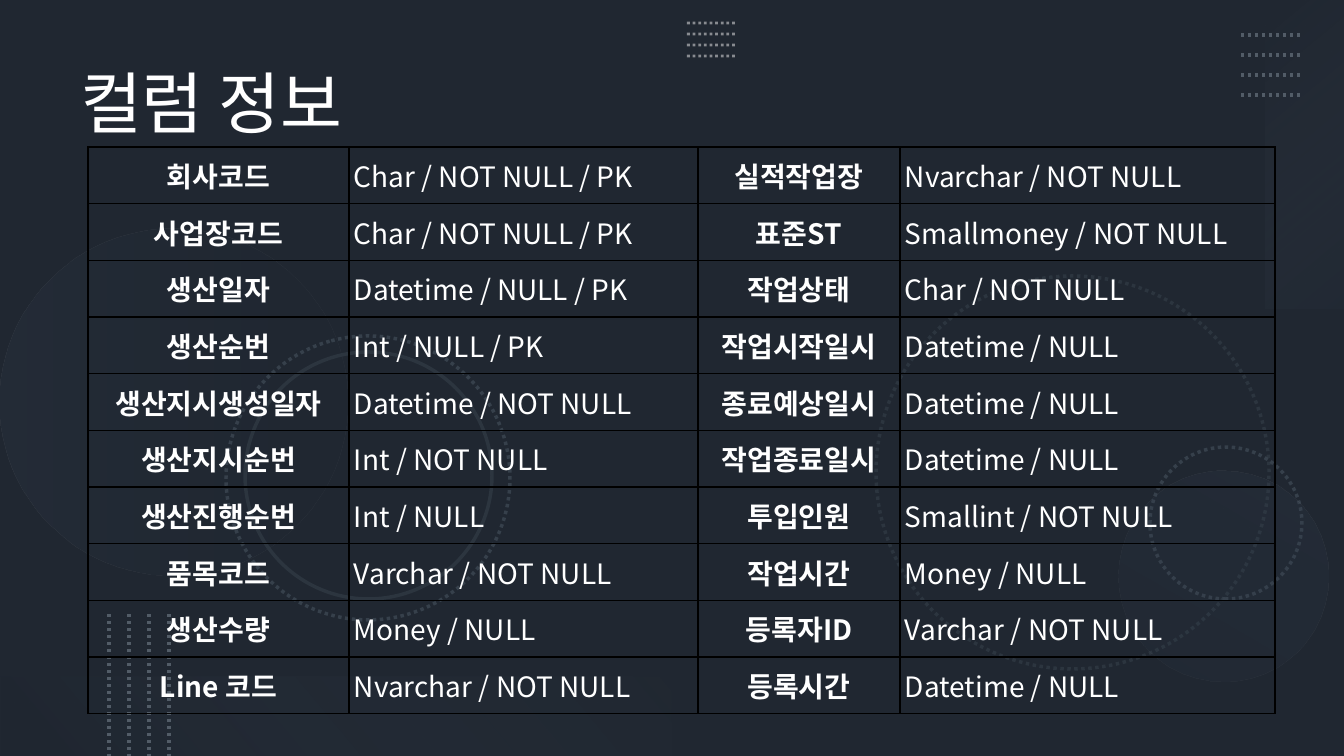
from pptx import Presentation
from pptx.dml.color import RGBColor
from pptx.enum.dml import MSO_LINE
from pptx.enum.shapes import MSO_CONNECTOR, MSO_SHAPE
from pptx.enum.text import MSO_ANCHOR, PP_ALIGN
from pptx.oxml.ns import qn
from pptx.util import Pt
from lxml.etree import SubElement

SCALE = 914400 / 100.8
FONT = "Noto Sans CJK KR"
COLORS = {
    "slate": "44546A", "black": "000000", "white": "FFFFFF",
    "faint": "2C353F", "ring": "36404B", "dots": "525C67", "light": "F1F0F0",
    "navy": "222A35", "steel": "333F50", "mist": "ADB9CA", "haze": "8497B0",
}


def px(n):
    return round(n * SCALE)


def rgb(name):
    return RGBColor.from_string(COLORS[name])


def set_alpha(element, *percents):
    for clr, percent in zip(element.iter(qn("a:srgbClr")), percents):
        SubElement(clr, qn("a:alpha")).set("val", str(percent * 1000))


def set_attrs(obj, values):
    for name, value in values.items():
        setattr(obj, name, value)


class Deck:
    def __init__(self, width, height):
        self.prs = Presentation()
        set_attrs(self.prs, {"slide_width": px(width), "slide_height": px(height)})
        self.s = self.prs.slides.add_slide(self.prs.slide_layouts[6])

    def shape(self, kind, x, y, w, h, rot=0):
        sp = self.s.shapes.add_shape(kind, px(x), px(y), px(w), px(h))
        sp.rotation = rot
        sp.shadow.inherit = False
        sp.fill.background()
        sp.line.fill.background()
        return sp

    def solid(self, color, alpha, *box):
        sp = self.shape(MSO_SHAPE.RECTANGLE, *box)
        sp.fill.solid()
        sp.fill.fore_color.rgb = rgb(color)
        set_alpha(sp._element.spPr, alpha)

    def gradient(self, kind, box, rot, angle, stops):
        sp = self.shape(kind, *box, rot)
        sp.fill.gradient()
        sp.fill.gradient_angle = 360 - angle
        for stop, (position, color, _) in zip(sp.fill.gradient_stops, stops):
            stop.position = position
            stop.color.rgb = rgb(color)
        set_alpha(sp._element.spPr, *(alpha for _, _, alpha in stops))

    def stroke(self, line, color, width=2.5, dash=MSO_LINE.ROUND_DOT):
        line.color.rgb = rgb(color)
        set_attrs(line, {"width": Pt(width), "dash_style": dash})

    def ring(self, x, y, size, rot, color, dash=MSO_LINE.ROUND_DOT):
        sp = self.shape(MSO_SHAPE.OVAL, x, y, size, size, rot)
        self.stroke(sp.line, color, dash=dash)

    def line(self, x1, y1, x2, y2, color, width=2.5, alpha=100):
        c = self.s.shapes.add_connector(MSO_CONNECTOR.STRAIGHT, *map(px, (x1, y1, x2, y2)))
        self.stroke(c.line, color, width)
        set_alpha(c._element.spPr, alpha)
        SubElement(c._element.spPr, qn("a:effectLst"))

    def fill_text(self, tf, text, size, bold=False, align=PP_ALIGN.LEFT, spacing=1.0):
        p = tf.paragraphs[0]
        set_attrs(p, {"alignment": align, "line_spacing": spacing})
        r = p.add_run()
        r.text = text
        set_attrs(r.font, {"size": Pt(size), "bold": bold, "name": FONT})
        r.font.color.rgb = rgb("white")
        SubElement(r._r.get_or_add_rPr(), qn("a:ea")).set("typeface", FONT)

    def text(self, text, x, y, w, h, size):
        tf = self.s.shapes.add_textbox(px(x), px(y), px(w), px(h)).text_frame
        set_attrs(tf, {"word_wrap": True, "margin_left": px(10), "margin_top": 0,
                       "vertical_anchor": MSO_ANCHOR.TOP})
        self.fill_text(tf, text, size, spacing=0.9)

    def borders(self, cell):
        tc_pr = cell._tc.get_or_add_tcPr()
        for i, side in enumerate(("lnL", "lnR", "lnT", "lnB")):
            ln = SubElement(tc_pr, qn("a:" + side))
            ln.set("w", str(int(Pt(1))))
            fill = SubElement(ln, qn("a:solidFill"))
            SubElement(fill, qn("a:srgbClr")).set("val", COLORS["black"])
            tc_pr.insert(i, ln)

    def table(self, rows, x, y, widths, height, size):
        frame = self.s.shapes.add_table(len(rows), len(widths), px(x), px(y),
                                        px(sum(widths)), px(height))
        table = frame.table
        set_attrs(table, {"first_row": False, "horz_banding": False})
        for col, width in zip(table.columns, widths):
            col.width = px(width)
        for i, row in enumerate(rows):
            table.rows[i].height = px(height / len(rows))
            for j, text in enumerate(row):
                cell = table.cell(i, j)
                label = j % 2 == 0
                margin = px(2 if label else 5)
                sides = ("left", "right", "top", "bottom")
                set_attrs(cell, {"margin_" + side: margin for side in sides})
                cell.vertical_anchor = MSO_ANCHOR.MIDDLE
                cell.fill.background()
                self.borders(cell)
                self.fill_text(cell.text_frame, text, size, label,
                               PP_ALIGN.CENTER if label else PP_ALIGN.LEFT)


COLUMN_INFO = [
    ("회사코드", "Char / NOT NULL / PK", "실적작업장", "Nvarchar / NOT NULL"),
    ("사업장코드", "Char / NOT NULL / PK", "표준ST", "Smallmoney / NOT NULL"),
    ("생산일자", "Datetime / NULL / PK", "작업상태", "Char / NOT NULL"),
    ("생산순번", "Int / NULL / PK", "작업시작일시", "Datetime / NULL"),
    ("생산지시생성일자", "Datetime / NOT NULL", "종료예상일시", "Datetime / NULL"),
    ("생산지시순번", "Int / NOT NULL", "작업종료일시", "Datetime / NULL"),
    ("생산진행순번", "Int / NULL", "투입인원", "Smallint / NOT NULL"),
    ("품목코드", "Varchar / NOT NULL", "작업시간", "Money / NULL"),
    ("생산수량", "Money / NULL", "등록자ID", "Varchar / NOT NULL"),
    ("Line 코드", "Nvarchar / NOT NULL", "등록시간", "Datetime / NULL"),
]

deck = Deck(1344, 756)

# Dark backdrop
deck.solid("slate", 100, 0, 0, 1344, 756)
deck.solid("black", 53, 0, 0, 1344, 756)

# Rings and soft discs
deck.ring(876, 276, 393, 75, "faint")
deck.ring(1150, 447, 152, 270, "ring")
deck.gradient(MSO_SHAPE.OVAL, (0, 229, 347, 347), 270, 90,
              [(0, "steel", 20), (1, "navy", 10)])
deck.gradient(MSO_SHAPE.OVAL, (1119, 471, 210, 210), 210, 90,
              [(0, "steel", 10), (1, "steel", 20)])
deck.ring(226, 336, 284, 75, "ring")
deck.ring(245, 352, 247, 75, "faint", MSO_LINE.SOLID)

# Edge bands
deck.gradient(MSO_SHAPE.RECTANGLE, (1151, 115, 308, 79), 270, 140,
              [(0, "mist", 0), (1, "steel", 10)])
deck.gradient(MSO_SHAPE.RECTANGLE, (0, 677, 672, 79), 180, 140,
              [(0.1, "navy", 10), (1, "haze", 0)])

# Dotted grids: top right, bottom left, top centre
for i in range(4):
    deck.line(1241, 35 + 20 * i, 1301, 35 + 20 * i, "dots")
    deck.line(109 + 20 * i, 614, 109 + 20 * i, 756, "dots")
    deck.line(687, 23 + 11 * i, 735, 23 + 11 * i, "light", 2, 50)

# Title and column table
deck.text("컬럼 정보", 70, 70, 605, 609, 48)
deck.table(COLUMN_INFO, 88, 147, (261, 349, 202, 375), 567, 20)

deck.prs.save("out.pptx")
